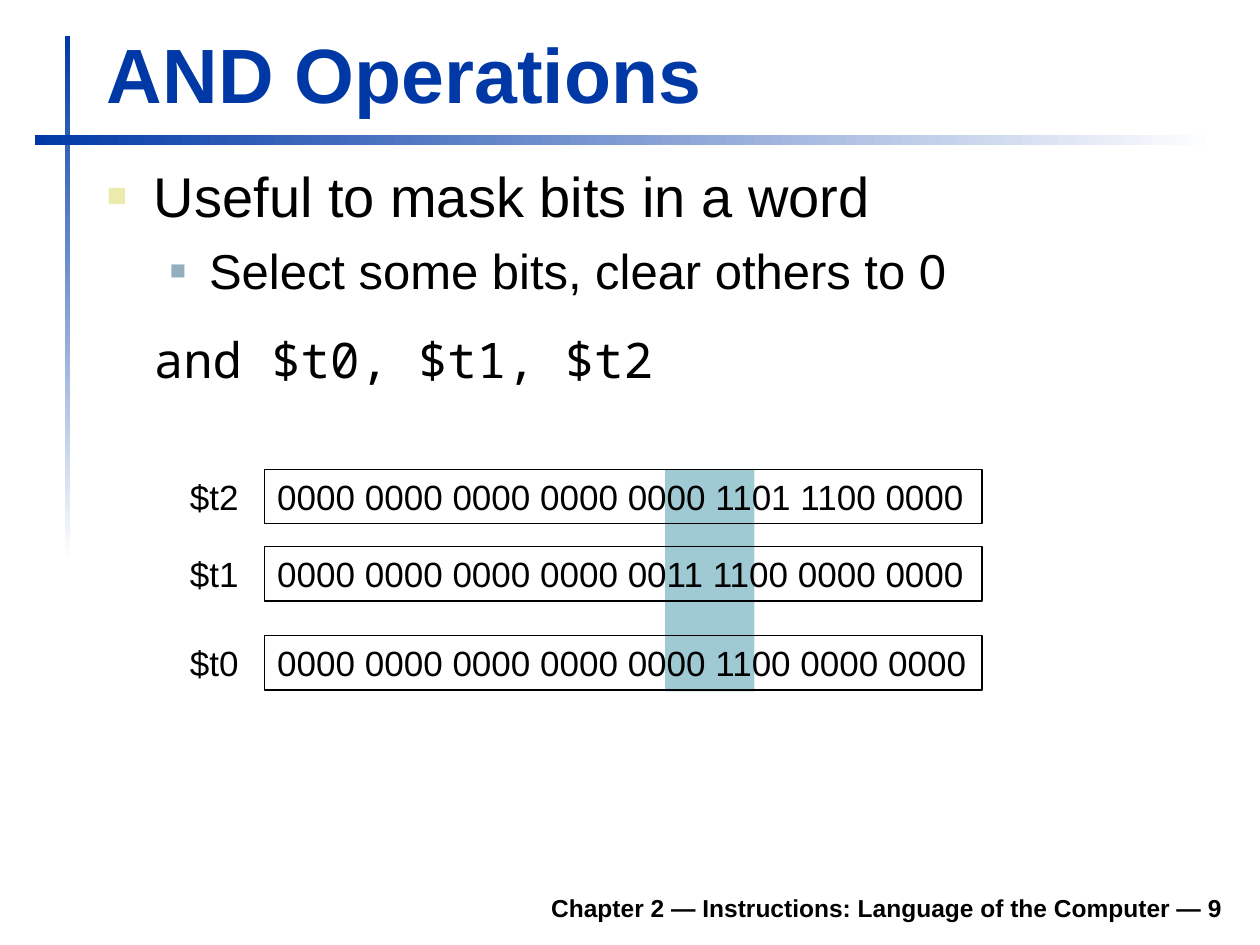
"""Build the slide on AND operations used to mask bits."""
import lxml.etree
import pptx
import pptx.dml.color
import pptx.enum.shapes
import pptx.enum.text
import pptx.oxml
import pptx.oxml.ns
import pptx.util
from pptx.util import Cm, Pt

RECTANGLE = pptx.enum.shapes.MSO_SHAPE.RECTANGLE
ANCHOR = pptx.enum.text.MSO_ANCHOR
AUTO_SIZE = pptx.enum.text.MSO_AUTO_SIZE
ALIGN = pptx.enum.text.PP_ALIGN
BLUE, BLACK, WHITE = "0039A6", "000000", "FFFFFF"


def rgb(value):
    """Turn a hex string into a colour."""
    return pptx.dml.color.RGBColor.from_string(value)


def format_text(paragraph, size, color=BLACK, bold=False, font="Arial", align=ALIGN.LEFT):
    """Set the alignment of a paragraph and the font of its runs."""
    paragraph.alignment = align
    for run in paragraph.runs:
        run.font.name = font
        run.font.size = Pt(size)
        run.font.bold = bold
        run.font.color.rgb = rgb(color)


deck = pptx.Presentation()
deck.slide_width, deck.slide_height = Cm(25.4), Cm(19.05)
slide = deck.slides.add_slide(deck.slide_layouts[1])
shapes = slide.shapes

bars = [(1.31, 0.72, 0.1, 10.59, 270), (0.7, 2.72, 23.8, 0.2, 0)]
for left, top, width, height, angle in bars:
    bar = shapes.add_shape(RECTANGLE, Cm(left), Cm(top), Cm(width), Cm(height))
    bar.shadow.inherit = False
    bar.line.fill.background()
    bar.fill.gradient()
    bar.fill.gradient_angle = angle
    for stop, color in zip(bar.fill.gradient_stops, (BLUE, WHITE)):
        stop.color.rgb = rgb(color)

title = shapes.title
title.left, title.top, title.width, title.height = Cm(1.9), Cm(0.41), Cm(22.94), Cm(2.11)
title.text_frame.text = "AND Operations"
title.text_frame.vertical_anchor = ANCHOR.BOTTOM
title.text_frame.auto_size = AUTO_SIZE.NONE
format_text(title.text_frame.paragraphs[0], 44, BLUE, bold=True)

body = slide.placeholders[1]
body.left, body.top, body.width, body.height = Cm(1.9), Cm(3.12), Cm(22.96), Cm(5.77)
body.text_frame.auto_size = AUTO_SIZE.NONE
points = [
    ("Useful to mask bits in a word", 0, 32, "Arial", 8, 0, 0.95, -0.95, ("ECEAAC", 60)),
    ("Select some bits, clear others to 0", 1, 28, "Arial", 7, 0, 2.06, -0.79, ("91AFBF", 55)),
    ("and $t0, $t1, $t2", 0, 28, "Noto Sans Mono", 17.5, 10.5, 0.95, 0, None),
]
body.text_frame.text = "\n".join(point[0] for point in points)
for paragraph, point in zip(body.text_frame.paragraphs, points):
    _, level, size, font, before, after, margin, indent, bullet = point
    paragraph.level = level
    paragraph.space_before, paragraph.space_after = Pt(before), Pt(after)
    format_text(paragraph, size, font=font)
    properties = paragraph._p.get_or_add_pPr()
    properties.set("marL", str(Cm(margin)))
    properties.set("indent", str(Cm(indent)))
    if bullet:
        color, percent = bullet
        marks = (
            f'<a:buClr><a:srgbClr val="{color}"/></a:buClr>'
            f'<a:buSzPct val="{percent * 1000}"/>'
            '<a:buFont typeface="Arial"/><a:buChar char="■"/>'
        )
    else:
        marks = "<a:buNone/>"
    namespace = pptx.oxml.ns.nsdecls("a")
    properties.extend(list(pptx.oxml.parse_xml(f"<a:pPr {namespace}>{marks}</a:pPr>")))

mask = shapes.add_shape(RECTANGLE, Cm(13.41), Cm(9.47), Cm(1.8), Cm(4.47))
mask.shadow.inherit = False
mask.fill.solid()
mask.fill.fore_color.rgb = rgb("9FCAD3")
mask.line.fill.background()

registers = [
    ("$t2", "0000 0000 0000 0000 0000 1101 1100 0000", 9.46),
    ("$t1", "0000 0000 0000 0000 0011 1100 0000 0000", 11.02),
    ("$t0", "0000 0000 0000 0000 0000 1100 0000 0000", 12.81),
]
for name, bits, top in registers:
    word = shapes.add_shape(RECTANGLE, Cm(5.34), Cm(top), Cm(14.46), Cm(1.1))
    word.shadow.inherit = False
    word.fill.background()
    word.line.color.rgb = rgb(BLACK)
    word.line.width = Pt(0.75)
    label = shapes.add_textbox(Cm(3.58), Cm(top), Cm(1.65), Cm(1.1))
    for box, text in ((word, bits), (label, name)):
        box.text_frame.text = text
        box.text_frame.word_wrap = False
        box.text_frame.auto_size = AUTO_SIZE.NONE
        box.text_frame.vertical_anchor = ANCHOR.TOP
        format_text(box.text_frame.paragraphs[0], 20)
    label.text_frame.word_wrap = True

footer = shapes.add_textbox(Cm(4.71), Cm(17.73), Cm(20.19), Cm(0.99))
footer.text_frame.text = "Chapter 2 — Instructions: Language of the Computer — 9"
footer.text_frame.word_wrap = True
footer.text_frame.vertical_anchor = ANCHOR.BOTTOM
format_text(footer.text_frame.paragraphs[0], 14, bold=True, align=ALIGN.RIGHT)

deck.save("out.pptx")
